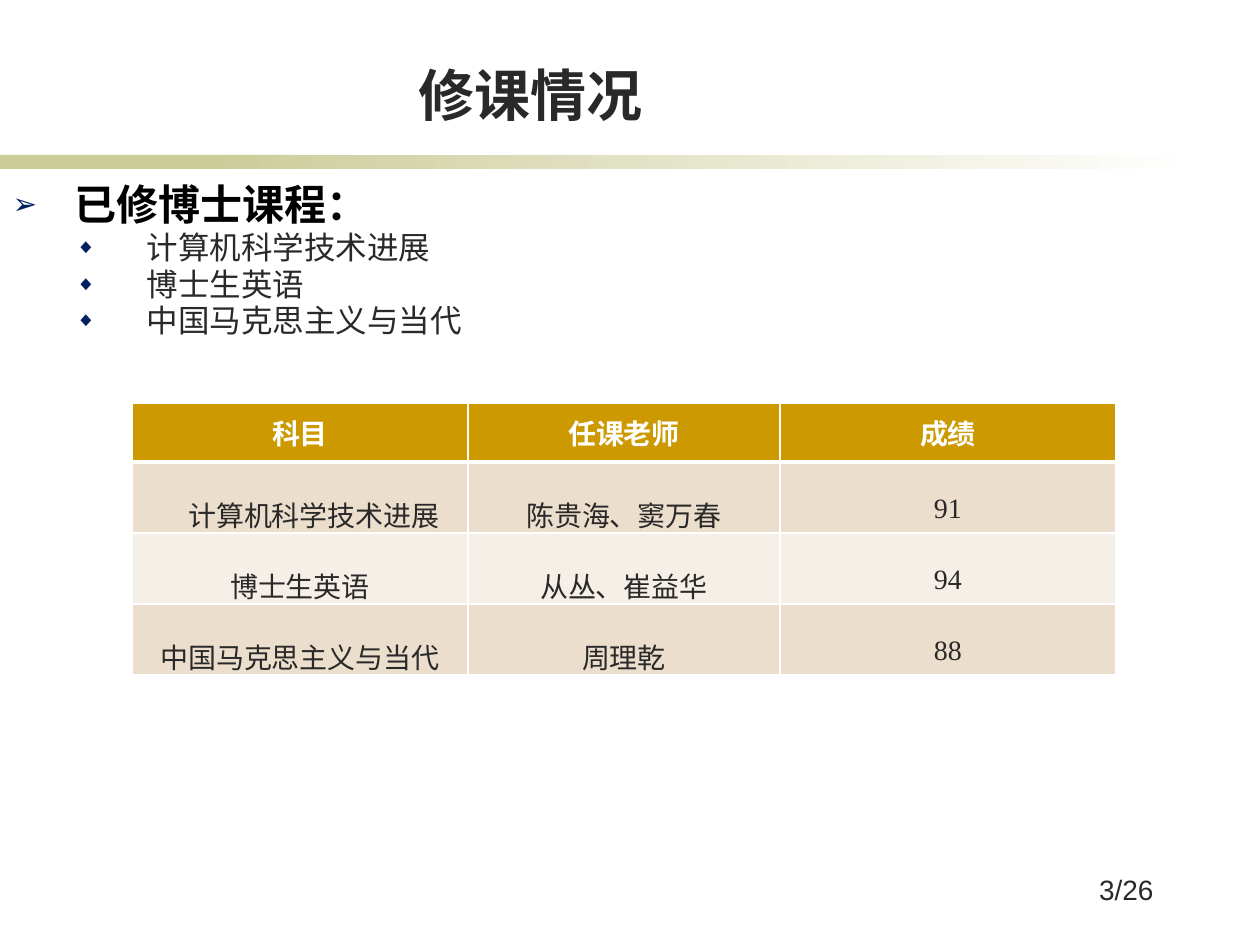
import pptx
import pptx.util
import pptx.dml.color
import pptx.enum.shapes
import pptx.enum.text
import pptx.oxml
import pptx.oxml.ns

# Content
TITLE = "修课情况"
BODY_HEADING = "已修博士课程："
COURSES = ["计算机科学技术进展", "博士生英语", "中国马克思主义与当代"]
TEACHERS = ["陈贵海、窦万春", "从丛、崔益华", "周理乾"]
SCORES = ["91", "94", "88"]
TABLE_HEADER = ("科目", "任课老师", "成绩")
PAGE_NUMBER = "3/26"

THEME = {
    "display": "Comic Neue", "serif": "Times New Roman", "sans": "Arial",
    "title": 32, "heading": 24, "item": 18, "small": 16,
    "text": "292929", "black": "000000", "white": "FFFFFF",
    "bullet": "002060", "band": "CCCC99",
    "header": "CC9900", "rows": ("ECDECC", "F6EFE7"),
}

# Layout in px
SCALE = 914400 // 126
SLIDE = (1260, 945)
TITLE_BOX = (144, 55, 774, 79)
BODY_BOX = (0, 178, 1260, 227)
PAGE_BOX = (1037, 866, 129, 63)
BAND_SOLID = (0, 155, 294, 14)
BAND_FADE = (199, 155, 998, 14)
TABLE_ORIGIN = (132, 403)
COLUMNS = (336, 312, 336)
HEADER_HEIGHT, ROW_HEIGHT = 59, 71
CELL_SIDE, CELL_TOP = 9, 32
FIRST_INDENT = 28

ALIGN = pptx.enum.text.PP_ALIGN
ANCHOR = pptx.enum.text.MSO_ANCHOR


def px(value):
    return pptx.util.Emu(value * SCALE)


def rgb(color):
    return pptx.dml.color.RGBColor.from_string(color)


def place(shape, box):
    shape.left, shape.top, shape.width, shape.height = map(px, box)


def write(paragraph, text, size, font, color=THEME["text"], bold=False, align=None):
    run = paragraph.add_run()
    run.text = text
    run.font.size = pptx.util.Pt(size)
    run.font.name = font
    run.font.bold = bold
    run.font.color.rgb = rgb(color)
    paragraph.alignment = align


def add_child(parent, xml):
    declared = xml.replace(" ", f" {pptx.oxml.ns.nsdecls('a')} ", 1)
    parent.append(pptx.oxml.parse_xml(declared))


def set_bullet(paragraph, character, percent, left, hanging):
    properties = paragraph._p.get_or_add_pPr()
    properties.set("marL", str(px(left)))
    properties.set("indent", str(-px(hanging)))
    add_child(properties, f'<a:buClr ><a:srgbClr val="{THEME["bullet"]}"/></a:buClr>')
    add_child(properties, f'<a:buSzPct val="{percent * 1000}"/>')
    add_child(properties, '<a:buFont typeface="Arial"/>')
    add_child(properties, f'<a:buChar char="{character}"/>')


def set_borders(cell, bottom):
    properties = cell._tc.get_or_add_tcPr()
    widths = {"lnL": 1, "lnR": 1, "lnT": 1, "lnB": bottom}
    for position, (side, width) in enumerate(widths.items()):
        add_child(properties, f'<a:{side} w="{pptx.util.Pt(width)}"><a:solidFill>'
                  f'<a:srgbClr val="{THEME["white"]}"/></a:solidFill></a:{side}>')
        properties.insert(position, properties[-1])


def add_band(slide, box, fade=False):
    shape = slide.shapes.add_shape(pptx.enum.shapes.MSO_SHAPE.RECTANGLE, *map(px, box))
    shape.shadow.inherit = False
    shape.line.fill.background()
    if fade:
        shape.fill.gradient()
        shape.fill.gradient_angle = 0
        for stop, color in zip(shape.fill.gradient_stops, ("band", "white")):
            stop.color.rgb = rgb(THEME[color])
    else:
        shape.fill.solid()
        shape.fill.fore_color.rgb = rgb(THEME["band"])


def add_title(slide):
    title = slide.shapes.title
    place(title, TITLE_BOX)
    title.text_frame.auto_size = pptx.enum.text.MSO_AUTO_SIZE.NONE
    title.text_frame.vertical_anchor = ANCHOR.BOTTOM
    write(title.text_frame.paragraphs[0], TITLE, THEME["title"], THEME["display"],
          bold=True, align=ALIGN.CENTER)


def add_body(slide):
    body = slide.placeholders[1]
    place(body, BODY_BOX)
    frame = body.text_frame
    frame.auto_size = pptx.enum.text.MSO_AUTO_SIZE.NONE
    heading = frame.paragraphs[0]
    write(heading, BODY_HEADING, THEME["heading"], THEME["display"],
          color=THEME["black"], bold=True)
    heading.space_before = pptx.util.Pt(0)
    heading.line_spacing = 0.9
    set_bullet(heading, "➢", 70, 62, 62)
    for course in COURSES:
        item = frame.add_paragraph()
        item.level = 1
        write(item, course, THEME["item"], THEME["display"])
        item.space_before = pptx.util.Pt(1.5)
        item.line_spacing = 0.9
        set_bullet(item, "◆", 65, 134, 71)


def add_grades(slide):
    rows = [TABLE_HEADER, *zip(COURSES, TEACHERS, SCORES)]
    heights = [HEADER_HEIGHT] + [ROW_HEIGHT] * len(COURSES)
    box = (*TABLE_ORIGIN, sum(COLUMNS), sum(heights))
    table = slide.shapes.add_table(len(rows), len(COLUMNS), *map(px, box)).table
    for column, width in zip(table.columns, COLUMNS):
        column.width = px(width)
    for index, (values, height) in enumerate(zip(rows, heights)):
        table.rows[index].height = px(height)
        header = index == 0
        fill = THEME["header"] if header else THEME["rows"][(index - 1) % 2]
        for cell, text in zip(table.rows[index].cells, values):
            cell.margin_left = cell.margin_right = px(CELL_SIDE)
            cell.margin_top = px(0 if header else CELL_TOP)
            cell.margin_bottom = 0
            cell.vertical_anchor = ANCHOR.MIDDLE if header else ANCHOR.TOP
            cell.fill.solid()
            cell.fill.fore_color.rgb = rgb(fill)
            set_borders(cell, bottom=3 if header else 1)
            write(cell.text_frame.paragraphs[0], text, THEME["small"], THEME["serif"],
                  color=THEME["white" if header else "text"], bold=header,
                  align=ALIGN.CENTER)
    first_course = table.cell(1, 0).text_frame.paragraphs[0]
    first_course._p.get_or_add_pPr().set("indent", str(px(FIRST_INDENT)))


def add_page_number(slide):
    frame = slide.shapes.add_textbox(*map(px, PAGE_BOX)).text_frame
    frame.word_wrap = True
    write(frame.paragraphs[0], PAGE_NUMBER, THEME["small"], THEME["sans"],
          align=ALIGN.RIGHT)


def main():
    presentation = pptx.Presentation()
    presentation.slide_width, presentation.slide_height = map(px, SLIDE)
    slide = presentation.slides.add_slide(presentation.slide_layouts[1])
    add_band(slide, BAND_SOLID)
    add_band(slide, BAND_FADE, fade=True)
    add_title(slide)
    add_body(slide)
    add_page_number(slide)
    add_grades(slide)
    presentation.save("out.pptx")


if __name__ == "__main__":
    main()
